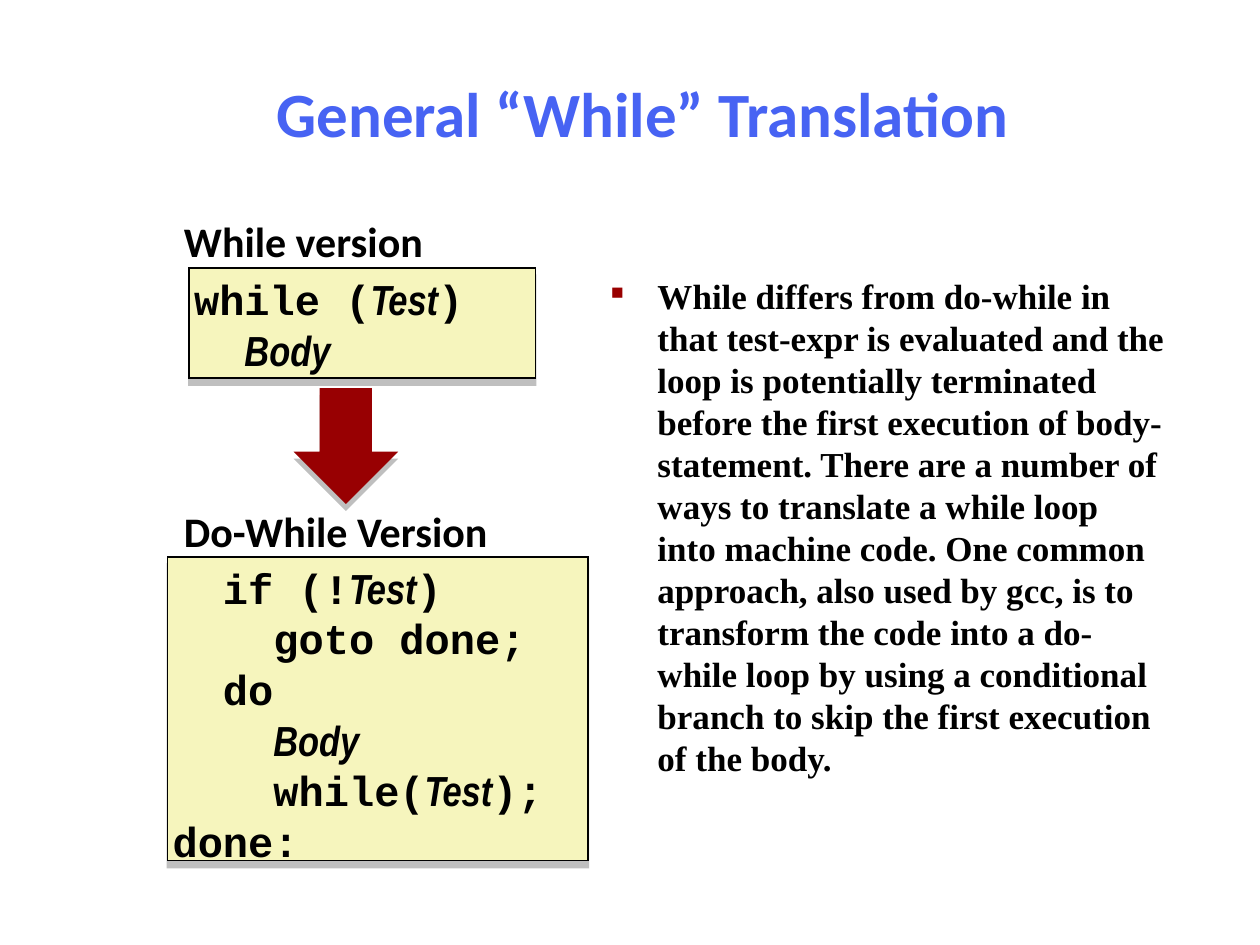
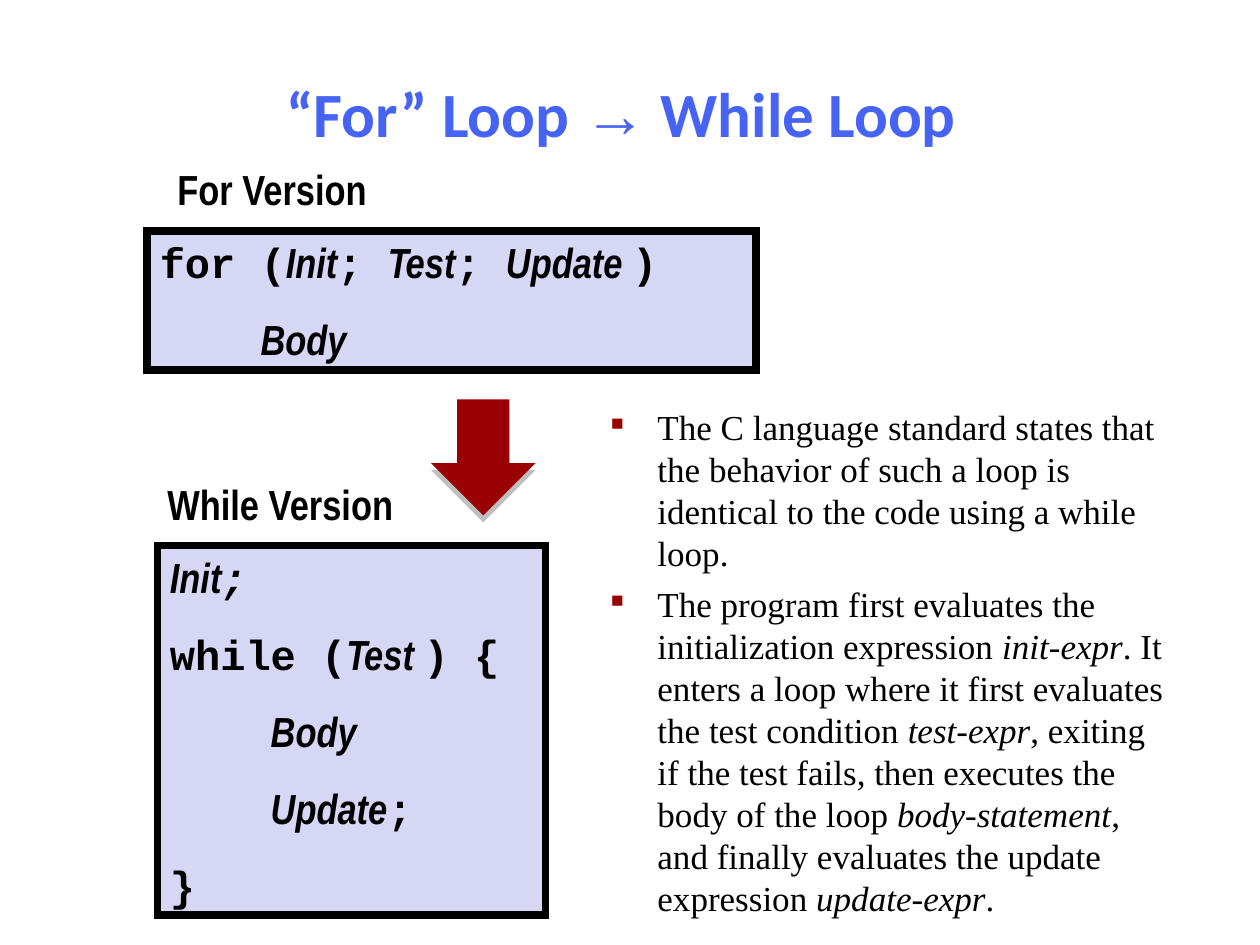
"""Builds two slides on translating while and for loops."""
from lxml import etree
from pptx import Presentation, util as u
from pptx.dml.color import RGBColor
from pptx.enum import shapes, text
from pptx.oxml import ns

Inches, Pt = u.Inches, u.Pt

BLACK = RGBColor(0x00, 0x00, 0x00)
TITLE_BLUE = RGBColor(0x47, 0x63, 0xF3)
CREAM = RGBColor(0xF6, 0xF5, 0xBD)
LAVENDER = RGBColor(0xD6, 0xD6, 0xF5)
ARROW_RED = RGBColor(0x98, 0x00, 0x02)
BULLET_RED = "990000"
SHADOW_GREY = "808080"

CODE_FONT, SLOT_FONT = "Courier New", "Arial Narrow"
PROSE_FONT, TITLE_FONT = "Times New Roman", "Calibri"
TIGHT, ROOMY = (0.04, 0.04), (0.1, 0.05)


def add_run(paragraph, words, font, size, color=BLACK, bold=True, italic=False):
    """Append one formatted run."""
    run = paragraph.add_run()
    run.text = words
    run.font.name, run.font.size = font, Pt(size)
    run.font.bold, run.font.italic = bold, italic
    run.font.color.rgb = color


def add_marked_runs(paragraph, line, font, slot_font, size, bold):
    """Append a line whose parts between asterisks are italic."""
    for index, part in enumerate(line.split("*")):
        if part:
            italic = index % 2 == 1
            add_run(paragraph, part, slot_font if italic else font, size,
                    bold=bold, italic=italic)


def set_frame(frame, insets):
    """Wrap text from the top left with the given side and top insets."""
    side, top = map(Inches, insets)
    frame.word_wrap = True
    frame.auto_size = text.MSO_AUTO_SIZE.NONE
    frame.vertical_anchor = text.MSO_ANCHOR.TOP
    frame.margin_left = frame.margin_right = side
    frame.margin_top = frame.margin_bottom = top


def add_paragraphs(frame, count, gap, line_height):
    """Return left-aligned paragraphs with a gap between them."""
    while len(frame.paragraphs) < count:
        frame.add_paragraph().space_before = Pt(gap)
    for paragraph in frame.paragraphs:
        paragraph.alignment = text.PP_ALIGN.LEFT
        paragraph.line_spacing = Pt(line_height)
    return frame.paragraphs


def add_drop_shadow(shape):
    """Cast a hard grey shadow straight down."""
    shape.shadow.inherit = False
    effects = shape._element.spPr.find(ns.qn("a:effectLst"))
    shadow = etree.SubElement(effects, ns.qn("a:outerShdw"), blurRad="0",
                              dist=str(Pt(4)), dir="5400000", rotWithShape="0")
    tone = etree.SubElement(shadow, ns.qn("a:srgbClr"), val=SHADOW_GREY)
    etree.SubElement(tone, ns.qn("a:alpha"), val="50000")


def add_title_slide(prs, left, top, parts):
    """Add a title-only slide; parts are (words, font) pairs."""
    slide = prs.slides.add_slide(prs.slide_layouts[5])
    title = slide.shapes.title
    title.left, title.top = Inches(left), Inches(top)
    title.width, title.height = Inches(8.3), Inches(0.83)
    frame = title.text_frame
    frame.auto_size = text.MSO_AUTO_SIZE.NONE
    frame.vertical_anchor = text.MSO_ANCHOR.MIDDLE
    heading = frame.paragraphs[0]
    heading.alignment = text.PP_ALIGN.CENTER
    for words, font in parts:
        add_run(heading, words, font, 36, TITLE_BLUE)
    return slide


def add_label(slide, left, top, words, font, insets):
    """Add the caption above a code panel."""
    label = slide.shapes.add_textbox(
        Inches(left), Inches(top), Inches(3.77), Inches(0.47))
    set_frame(label.text_frame, insets)
    add_run(label.text_frame.paragraphs[0], words, font, 24)


def add_code(slide, bounds, lines, fill, border, insets, gap=0):
    """Add a filled, sharp-cornered panel of code and return it."""
    panel = slide.shapes.add_shape(
        shapes.MSO_SHAPE.RECTANGLE, *map(Inches, bounds))
    panel.shadow.inherit = False
    panel.fill.solid()
    panel.fill.fore_color.rgb = fill
    panel.line.color.rgb = BLACK
    panel.line.width = Pt(border)
    outline = panel._element.spPr.find(ns.qn("a:ln"))
    etree.SubElement(outline, ns.qn("a:miter"), lim="800000")
    set_frame(panel.text_frame, insets)
    rows = add_paragraphs(panel.text_frame, len(lines), gap, 28.9)
    for row, line in zip(rows, lines):
        add_marked_runs(row, line, CODE_FONT, SLOT_FONT, 24, True)
    return panel


def add_arrow(slide, left, top):
    """Add the red arrow from one version to the next."""
    arrow = slide.shapes.add_shape(
        shapes.MSO_SHAPE.DOWN_ARROW,
        Inches(left), Inches(top), Inches(0.83), Inches(0.92))
    arrow.fill.solid()
    arrow.fill.fore_color.rgb = ARROW_RED
    arrow.line.fill.background()
    add_drop_shadow(arrow)


def add_bullets(slide, top, height, points, bold):
    """Add the explanation on the right with square bullets."""
    notes = slide.shapes.add_textbox(
        Inches(4.75), Inches(top), Inches(4.6), Inches(height))
    set_frame(notes.text_frame, ROOMY)
    rows = add_paragraphs(notes.text_frame, len(points), 5, 24)
    for row, point in zip(rows, points):
        props = row._p.get_or_add_pPr()
        props.set("marL", str(Inches(0.37)))
        props.set("indent", str(-Inches(0.37)))
        tone = etree.SubElement(props, ns.qn("a:buClr"))
        etree.SubElement(tone, ns.qn("a:srgbClr"), val=BULLET_RED)
        etree.SubElement(props, ns.qn("a:buSzPct"), val="50000")
        etree.SubElement(props, ns.qn("a:buChar"), char="■")
        add_marked_runs(row, point, PROSE_FONT, PROSE_FONT, 20, bold)


def build_while_slide(prs):
    """Show how a while loop becomes a do-while loop."""
    slide = add_title_slide(
        prs, 0.95, 0.48, [("General “While” Translation", TITLE_FONT)])
    add_label(slide, 1.42, 1.67, "While version", TITLE_FONT, TIGHT)
    while_code = add_code(slide, (1.5, 2.13, 2.75, 0.87),
                          ["while (*Test*)", "  *Body*"], CREAM, 1, TIGHT)
    add_label(slide, 1.42, 3.97, "Do-While Version", TITLE_FONT, TIGHT)
    do_while_code = add_code(
        slide, (1.33, 4.42, 3.34, 2.41),
        ["  if (!*Test*)", "    goto done;", "  do", "    *Body*",
         "    while(*Test*);", "done:"], CREAM, 1, TIGHT)
    for panel in (while_code, do_while_code):
        add_drop_shadow(panel)
    add_arrow(slide, 2.33, 3.08)
    add_bullets(slide, 2.13, 4.71, [
        "While differs from do-while in that test-expr is evaluated and the "
        "loop is potentially terminated before the first execution of "
        "body-statement. There are a number of ways to translate a while loop "
        "into machine code. One common approach, also used by gcc, is to "
        "transform the code into a do-while loop by using a conditional "
        "branch to skip the first execution of the body."], True)


def build_for_slide(prs):
    """Show how a for loop becomes a while loop."""
    slide = add_title_slide(
        prs, 0.78, 0.48, [("“For” Loop ", TITLE_FONT), ("→", "Arial"),
                          (" While Loop", TITLE_FONT)])
    add_code(slide, (1.17, 1.83, 4.83, 1.11),
             ["for (*Init*; *Test*; *Update *)", "    *Body*"],
             LAVENDER, 4.5, ROOMY, 15)
    add_label(slide, 1.31, 1.25, "For Version", SLOT_FONT, ROOMY)
    while_code = add_code(
        slide, (1.25, 4.33, 3.08, 2.93),
        ["*Init*;", "while (*Test *) {", "    *Body*", "    *Update*;", "}"],
        LAVENDER, 4.5, ROOMY, 15)
    init_line = while_code.text_frame.paragraphs[0]
    init_line.runs[-1].font.italic = True
    add_label(slide, 1.23, 3.75, "While Version", SLOT_FONT, ROOMY)
    add_arrow(slide, 3.42, 3.17)
    add_bullets(slide, 3.17, 4.25, [
        "The C language standard states that the behavior of such a loop is "
        "identical to the code using a while loop.",
        "The program first evaluates the initialization expression "
        "*init-expr*. It enters a loop where it first evaluates the test "
        "condition *test-expr*, exiting if the test fails, then executes the "
        "body of the loop *body-statement*, and finally evaluates the update "
        "expression *update-expr*."], False)


def main():
    """Build and save the presentation."""
    prs = Presentation()
    prs.slide_width, prs.slide_height = Inches(10), Inches(7.5)
    build_while_slide(prs)
    build_for_slide(prs)
    prs.save("out.pptx")


if __name__ == "__main__":
    main()
